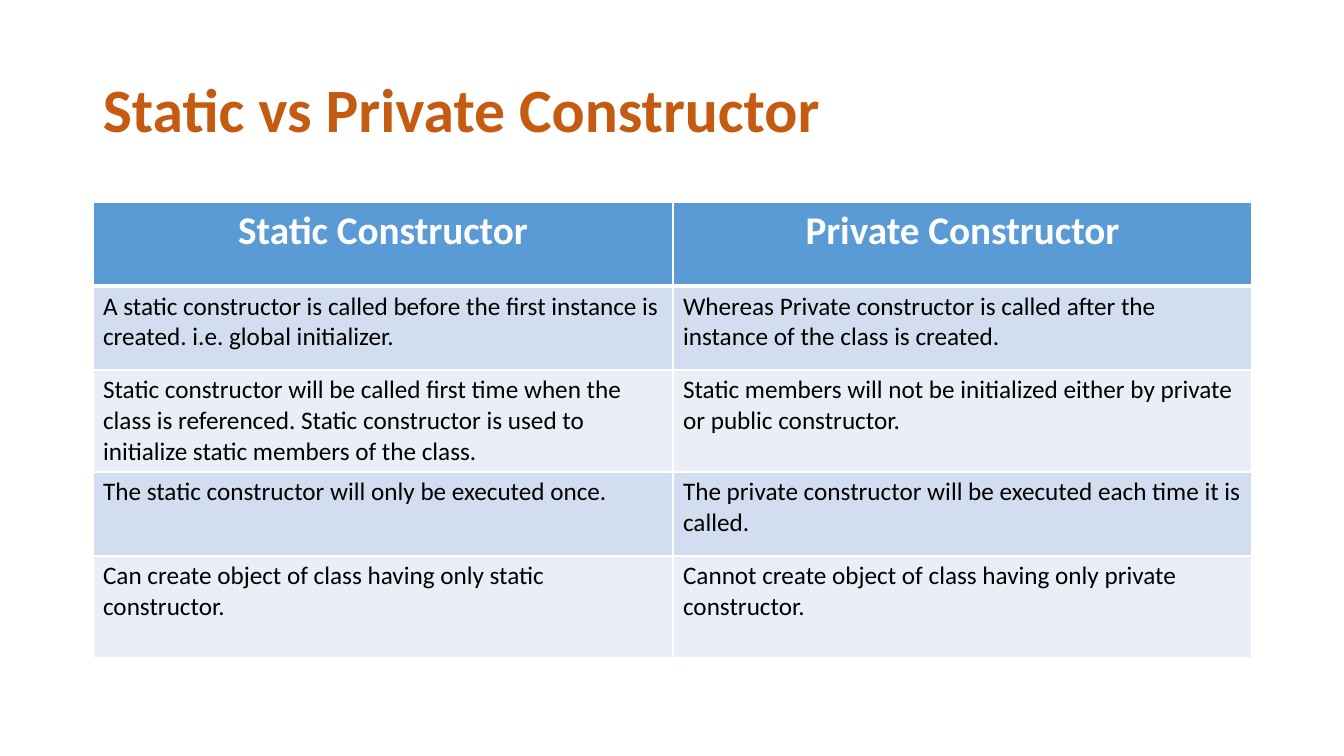
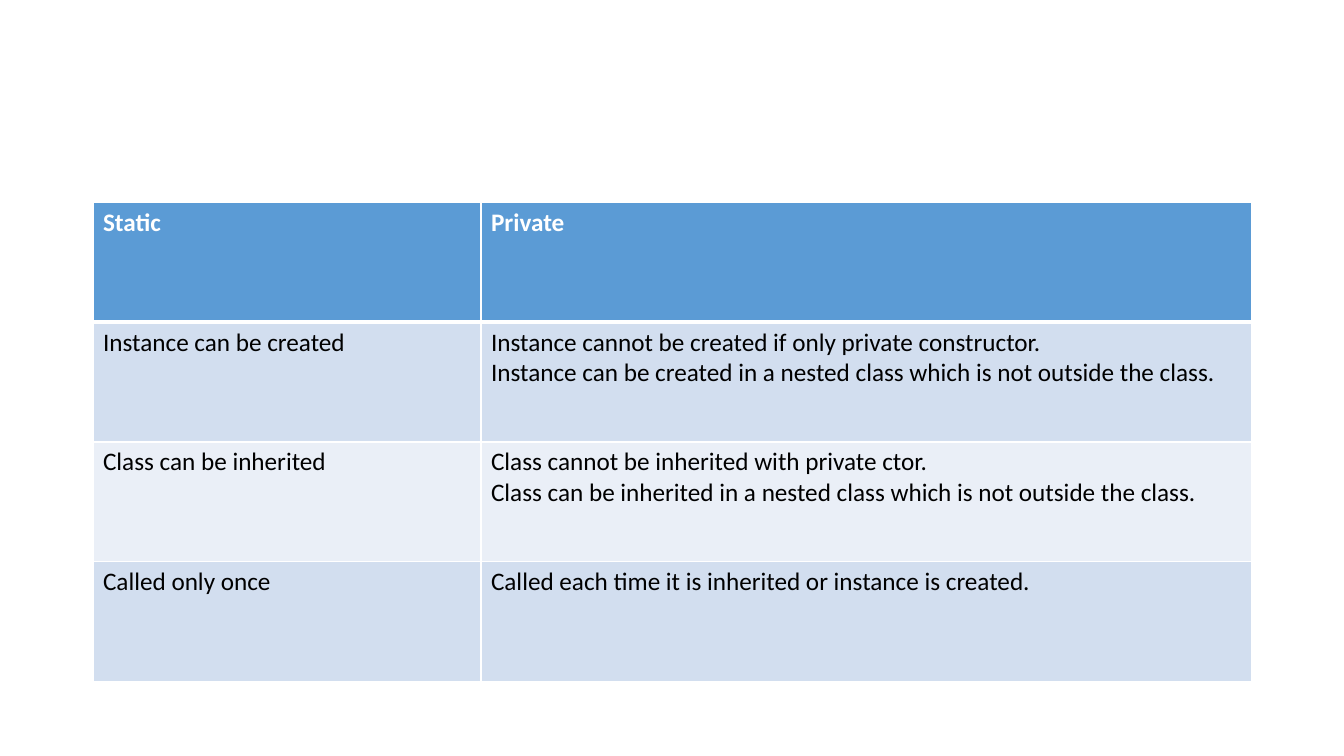
from lxml.etree import SubElement
from pptx import Presentation
from pptx.dml.color import RGBColor
from pptx.enum.text import MSO_ANCHOR as Anchor, PP_ALIGN as Align
from pptx.oxml.ns import qn
from pptx.util import Emu, Pt

# Shared look
COLORS = {
    "title": "C55A11",
    "header": "5B9BD5",
    "odd": "D2DEEF",
    "even": "EAEFF7",
    "border": "FFFFFF",
    "header_text": "FFFFFF",
    "body_text": "000000",
}
FONT = "Calibri"
LEFT, WIDTH = 93, 1159
TABLE_TOP = 202
BLANK_LAYOUT = 6

# Content
CONSTRUCTOR_ROWS = [
    ("Static Constructor", "Private Constructor"),
    ("A static constructor is called before the first instance is created. "
     "i.e. global initializer.",
     "Whereas Private constructor is called after the instance of the class "
     "is created."),
    ("Static constructor will be called first time when the class is "
     "referenced. Static constructor is used to initialize static members "
     "of the class.",
     "Static members will not be initialized either by private or public "
     "constructor."),
    ("The static constructor will only be executed once.",
     "The private constructor will be executed each time it is called."),
    ("Can create object of class having only static constructor.",
     "Cannot create object of class having only private constructor."),
]
USAGE_ROWS = [
    ("Static", "Private"),
    ("Instance can be created",
     "Instance cannot be created if only private constructor.\n"
     "Instance can be created in a nested class which is not outside the "
     "class."),
    ("Class can be inherited",
     "Class cannot be inherited with private ctor.\n"
     "Class can be inherited in a nested class which is not outside the "
     "class."),
    ("Called only once",
     "Called each time it is inherited or instance is created."),
]


def px(length):
    """Turn pixels at 100.8 per inch into EMU."""
    return Emu(round(length * 914400 / 100.8))


def format_text(text_frame, size, color, bold, align=Align.LEFT):
    font_values = {"name": FONT, "size": Pt(size), "bold": bold}
    for paragraph in text_frame.paragraphs:
        paragraph.alignment = align
        for name, value in font_values.items():
            setattr(paragraph.font, name, value)
        paragraph.font.color.rgb = RGBColor.from_string(COLORS[color])


def add_title(slide, text):
    box = slide.shapes.add_textbox(px(LEFT), px(40), px(WIDTH), px(146))
    text_frame = box.text_frame
    frame_values = {"word_wrap": True, "vertical_anchor": Anchor.MIDDLE,
                    "text": text}
    for name, value in frame_values.items():
        setattr(text_frame, name, value)
    format_text(text_frame, 44, "title", True)
    text_frame.paragraphs[0].line_spacing = 0.9


def set_borders(cell, top, bottom):
    """Draw white borders; top and bottom are widths in points."""
    properties = cell._tc.get_or_add_tcPr()
    for side, width in {"L": 1, "R": 1, "T": top, "B": bottom}.items():
        line = SubElement(properties, qn(f"a:ln{side}"), w=str(Pt(width)))
        fill = SubElement(line, qn("a:solidFill"))
        SubElement(fill, qn("a:srgbClr"), val=COLORS["border"])


def add_comparison(slide, rows, widths, heights, header_size, header_align):
    frame = slide.shapes.add_table(
        len(rows), len(widths), px(LEFT), px(TABLE_TOP),
        px(sum(widths)), px(sum(heights)))
    table = frame.table
    table.horz_banding = False
    for column, width in zip(table.columns, widths):
        column.width = px(width)
    for index, (row, height, texts) in enumerate(
            zip(table.rows, heights, rows)):
        row.height = px(height)
        is_header = index == 0
        band = "header" if is_header else "odd" if index % 2 else "even"
        for cell, text in zip(row.cells, texts):
            # The heavy rule lies between the header and the first body row
            set_borders(cell, top=3 if index == 1 else 1,
                        bottom=3 if is_header else 1)
            cell.fill.solid()
            cell.fill.fore_color.rgb = RGBColor.from_string(COLORS[band])
            cell.text = text
            if is_header:
                format_text(cell.text_frame, header_size, "header_text",
                            True, header_align)
            else:
                format_text(cell.text_frame, 18, "body_text", False)


def main():
    presentation = Presentation()
    presentation.slide_width = px(1344)
    presentation.slide_height = px(756)
    blank = presentation.slide_layouts[BLANK_LAYOUT]

    # Slide 1: constructors compared
    slide = presentation.slides.add_slide(blank)
    add_title(slide, "Static vs Private Constructor")
    add_comparison(slide, CONSTRUCTOR_ROWS, [580, 579],
                   [84, 84, 102, 84, 102], 28, Align.CENTER)

    # Slide 2: instances and inheritance
    slide = presentation.slides.add_slide(blank)
    add_comparison(slide, USAGE_ROWS, [388, 771],
                   [120] * len(USAGE_ROWS), 18, Align.LEFT)

    presentation.save("out.pptx")


if __name__ == "__main__":
    main()
